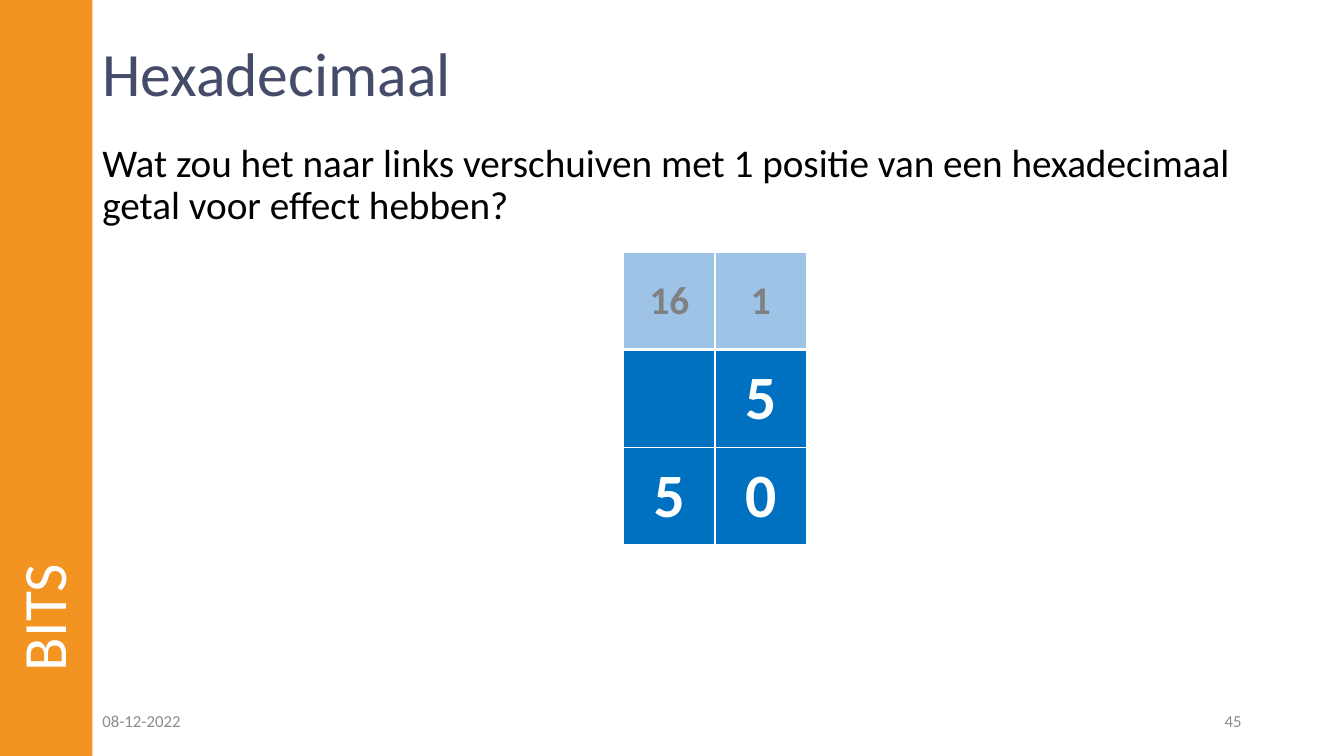
import dataclasses

import lxml.etree
import pptx
import pptx.dml.color
import pptx.enum.shapes
import pptx.enum.text
import pptx.oxml.ns
import pptx.util

PX = 9525
ALIGN = pptx.enum.text.PP_ALIGN
ANCHOR = pptx.enum.text.MSO_ANCHOR


@dataclasses.dataclass(frozen=True)
class Theme:
    font: str = "Calibri"
    orange: str = "F39322"
    slate: str = "454C69"
    black: str = "000000"
    white: str = "FFFFFF"
    footer_gray: str = "8C8C8C"
    weight_gray: str = "808080"
    light_blue: str = "9DC3E6"
    blue: str = "0070C0"
    large: int = 44
    medium: int = 28
    small: int = 12


def rgb(color):
    return pptx.dml.color.RGBColor.from_string(color)


def write_text(frame, text, *, font, size, color, bold=False, align=ALIGN.LEFT, spacing=1.0):
    paragraph = frame.paragraphs[0]
    paragraph.alignment = align
    paragraph.line_spacing = spacing
    run = paragraph.add_run()
    run.text = text
    run.font.name = font
    run.font.size = pptx.util.Pt(size)
    run.font.bold = bold
    run.font.color.rgb = rgb(color)


class SlideBuilder:
    """Draw styled elements on one slide, with lengths in px."""

    def __init__(self, slide, theme):
        self.slide = slide
        self.theme = theme

    def rectangle(self, left, top, width, height, color):
        shape = self.slide.shapes.add_shape(
            pptx.enum.shapes.MSO_SHAPE.RECTANGLE,
            left * PX, top * PX, width * PX, height * PX)
        shape.shadow.inherit = False
        shape.fill.solid()
        shape.fill.fore_color.rgb = rgb(color)
        shape.line.fill.background()

    def text(self, text, left, top, width, height, *, anchor=ANCHOR.MIDDLE, rotation=0, **style):
        box = self.slide.shapes.add_textbox(left * PX, top * PX, width * PX, height * PX)
        box.rotation = rotation
        box.text_frame.word_wrap = True
        box.text_frame.vertical_anchor = anchor
        write_text(box.text_frame, text, font=self.theme.font, **style)

    def border(self, cell, side, points):
        qn = pptx.oxml.ns.qn
        properties = cell._tc.get_or_add_tcPr()
        line = lxml.etree.SubElement(properties, qn(f"a:ln{side}"), w=str(pptx.util.Pt(points)))
        fill = lxml.etree.SubElement(line, qn("a:solidFill"))
        lxml.etree.SubElement(fill, qn("a:srgbClr"), val=self.theme.white)

    def digit_table(self, rows, left, top, column_width, row_height):
        theme = self.theme
        column_count = len(rows[0])
        table = self.slide.shapes.add_table(
            len(rows), column_count, left * PX, top * PX,
            column_count * column_width * PX, len(rows) * row_height * PX).table
        table.first_row = False
        table.horz_banding = False
        for column in table.columns:
            column.width = column_width * PX
        for row_index, values in enumerate(rows):
            table.rows[row_index].height = row_height * PX
            is_header = row_index == 0
            size = theme.medium if is_header else theme.large
            color = theme.weight_gray if is_header else theme.white
            for column_index, value in enumerate(values):
                cell = table.cell(row_index, column_index)
                cell.vertical_anchor = ANCHOR.MIDDLE
                for side in "LRTB":
                    thick = (row_index, side) in ((0, "B"), (1, "T"))
                    self.border(cell, side, 3 if thick else 1)
                cell.fill.solid()
                cell.fill.fore_color.rgb = rgb(theme.light_blue if is_header else theme.blue)
                if value:
                    write_text(cell.text_frame, value, font=theme.font, size=size,
                               color=color, bold=True, align=ALIGN.CENTER)


def main():
    presentation = pptx.Presentation()
    presentation.slide_width = 1280 * PX
    presentation.slide_height = 720 * PX
    theme = Theme()
    builder = SlideBuilder(presentation.slides.add_slide(presentation.slide_layouts[6]), theme)

    builder.rectangle(0, 0, 88, 720, theme.orange)
    builder.text("Hexadecimaal", 88, 31, 1104, 83,
                 size=theme.large, color=theme.slate, spacing=0.9)
    builder.text("Wat zou het naar links verschuiven met 1 positie van een hexadecimaal "
                 "getal voor effect hebben?", 88, 132, 1104, 517, anchor=ANCHOR.TOP,
                 size=theme.medium, color=theme.black, spacing=0.9)
    footer = {"size": theme.small, "color": theme.footer_gray}
    builder.text("08-12-2022", 88, 667, 288, 38, **footer)
    builder.text("45", 904, 667, 288, 38, align=ALIGN.RIGHT, **footer)
    builder.text("BITS", -280, 280, 649, 88, rotation=270,
                 size=theme.large, color=theme.white, spacing=0.9)
    builder.digit_table([("16", "1"), ("", "5"), ("5", "0")], 594, 240, 87, 93)

    presentation.save("out.pptx")


if __name__ == "__main__":
    main()
